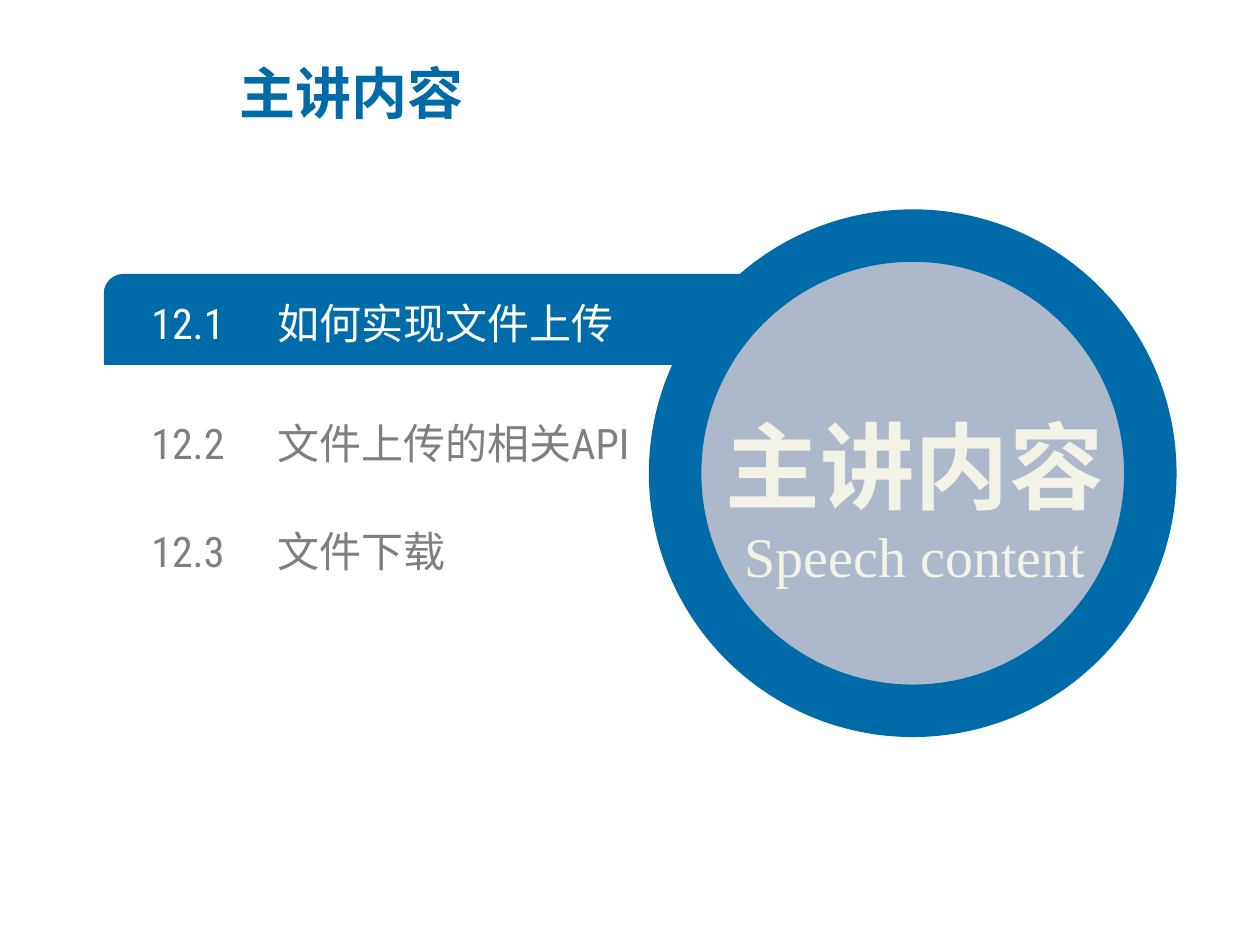
from lxml import etree
from pptx import Presentation
from pptx.dml.color import RGBColor
from pptx.enum import shapes, text
from pptx.oxml import ns
from pptx.util import Cm, Pt

BLUE = RGBColor(0x00, 0x6B, 0xA9)
GREY_BLUE = RGBColor(0xAD, 0xB9, 0xCA)
GREY = RGBColor(0x7F, 0x7F, 0x7F)
CREAM = RGBColor(0xF2, 0xF2, 0xE6)
WHITE = RGBColor(0xFF, 0xFF, 0xFF)
CJK = "Noto Sans CJK SC"

# Content: number, topic, colour, space before in points
TITLE = "主讲内容"
SUBTITLE = "Speech content"
TOPICS = [
    ("12.1", "如何实现文件上传", WHITE, 0),
    ("12.2", "文件上传的相关API", GREY, 33.4),
    ("12.3", "文件下载", GREY, 26.9),
]


def write(paragraph, words, size, color, font=CJK, bold=False,
          align=text.PP_ALIGN.LEFT, spacing=None, before=0, tab=None):
    """Fill a paragraph with one formatted run."""
    props = paragraph._p.get_or_add_pPr()
    if tab is not None:
        props.set("marL", "0")
        props.set("indent", "0")
        etree.SubElement(props, ns.qn("a:buNone"))
        stops = etree.SubElement(props, ns.qn("a:tabLst"))
        etree.SubElement(stops, ns.qn("a:tab"), pos=str(tab), algn="l")
    paragraph.alignment = align
    paragraph.space_before = Pt(before)
    if spacing is not None:
        paragraph.line_spacing = spacing
    run = paragraph.add_run()
    run.text = words
    run.font.size = Pt(size)
    run.font.bold = bold
    run.font.color.rgb = color
    run.font.name = font
    east_asian = etree.SubElement(run.font._element, ns.qn("a:ea"))
    east_asian.set("typeface", CJK)


def place(shape, left, top, width, height):
    shape.left, shape.top = Cm(left), Cm(top)
    shape.width, shape.height = Cm(width), Cm(height)


def add_filled(slide, kind, box, fill, line_width):
    shape = slide.shapes.add_shape(kind, *(Cm(length) for length in box))
    shape.shadow.inherit = False
    shape.fill.solid()
    shape.fill.fore_color.rgb = fill
    shape.line.color.rgb = BLUE
    shape.line.width = Pt(line_width)
    return shape


def main():
    deck = Presentation()
    deck.slide_width, deck.slide_height = Cm(25.4), Cm(19.05)
    slide = deck.slides.add_slide(deck.slide_layouts[1])

    # Title
    title = slide.shapes.title
    place(title, 4.57, 1.09, 13.74, 1.55)
    title.text_frame.vertical_anchor = text.MSO_ANCHOR.MIDDLE
    title.text_frame.auto_size = text.MSO_AUTO_SIZE.NONE
    write(title.text_frame.paragraphs[0], TITLE, 32, BLUE, bold=True)

    # Bar behind the current topic
    bar = add_filled(slide, shapes.MSO_SHAPE.ROUND_2_DIAG_RECTANGLE,
                     (2.11, 5.54, 13.59, 1.8), BLUE, 1)
    bar.adjustments[0], bar.adjustments[1] = 0.21, 0

    # Topic list, raised above the bar
    topics = slide.placeholders[1]
    place(topics, 3.05, 5.78, 10.64, 5.8)
    slide.shapes.element.append(topics.element)
    frame = topics.text_frame
    frame.margin_left = frame.margin_right = 0
    frame.margin_top = frame.margin_bottom = 0
    frame.vertical_anchor = text.MSO_ANCHOR.TOP
    frame.auto_size = text.MSO_AUTO_SIZE.NONE
    for index, (number, topic, color, before) in enumerate(TOPICS):
        paragraph = frame.add_paragraph() if index else frame.paragraphs[0]
        write(paragraph, f"{number}\t{topic}", 24, color, font="Roboto Condensed",
              spacing=Pt(35), before=before, tab=Cm(2.46))

    # Ring and its caption
    add_filled(slide, shapes.MSO_SHAPE.OVAL, (13.61, 4.75, 9.58, 9.58), GREY_BLUE, 30)
    caption = slide.shapes.add_textbox(Cm(13.49), Cm(6.93), Cm(9.91), Cm(5.08)).text_frame
    caption.word_wrap = True
    caption.vertical_anchor = text.MSO_ANCHOR.MIDDLE
    write(caption.paragraphs[0], TITLE, 54, CREAM, bold=True,
          align=text.PP_ALIGN.CENTER, spacing=1.5)
    write(caption.add_paragraph(), SUBTITLE, 32, CREAM, font="Times New Roman",
          align=text.PP_ALIGN.CENTER)

    deck.save("out.pptx")


if __name__ == "__main__":
    main()
